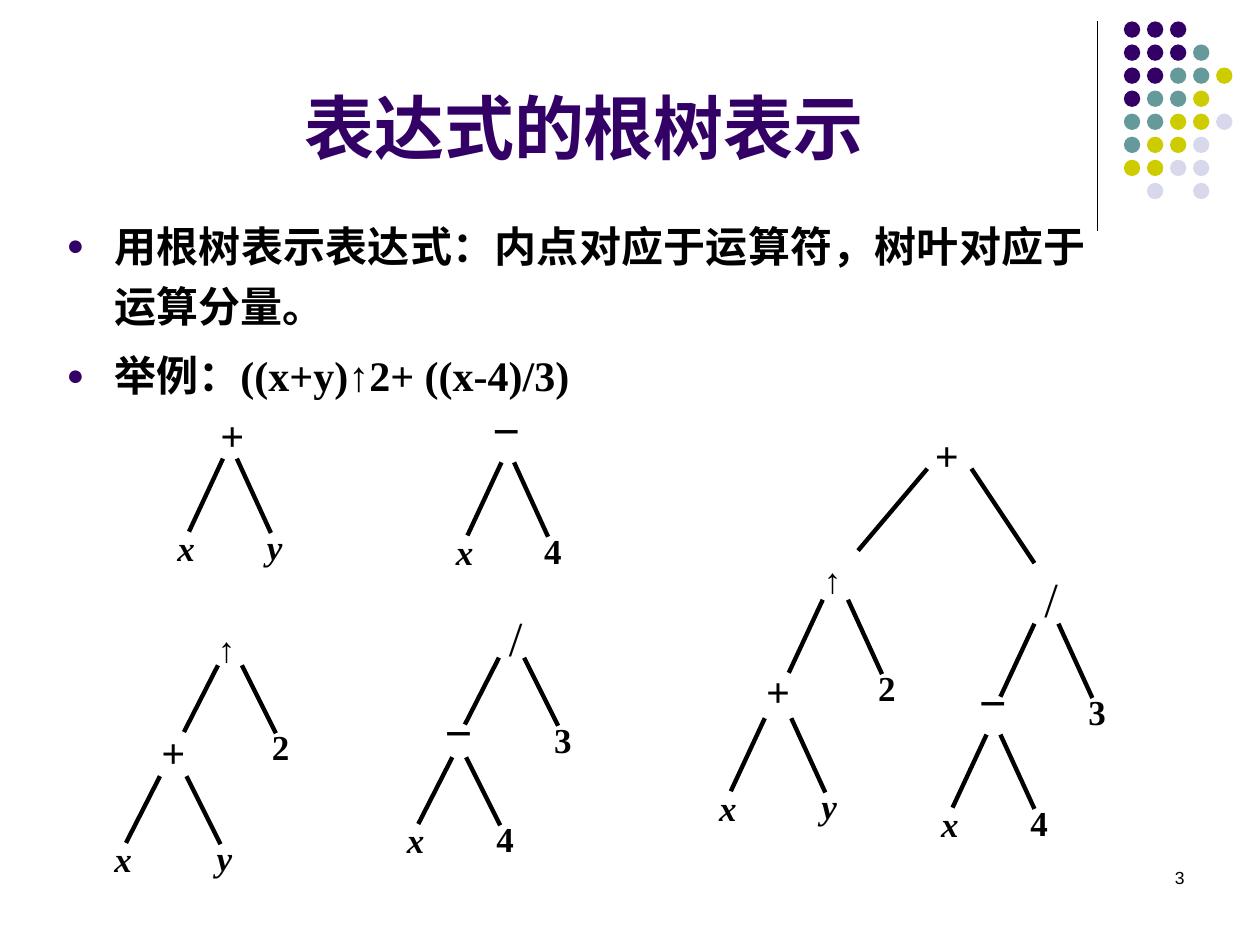
import pptx
import pptx.util
import pptx.dml.color
import pptx.enum.shapes
import pptx.enum.text
import pptx.oxml.ns
import lxml.etree

TITLE = "表达式的根树表示"
POINTS = [
    "用根树表示表达式：内点对应于运算符，树叶对应于运算分量。",
    "举例：((x+y)↑2+ ((x-4)/3)",
]
PAGE = "3"

# One letter a dot, a space for no dot.
DOTS = ["ppp", "pppt", "pptty", "ptty", "ttyyl", "tyyl", "yyll", " l l"]

# Each tree is a list of forks: operator, its left and top, start of the
# left leg, gap to the right leg, leg style, left leaf, right leaf.
# An empty leaf means that another fork stands there.
TREES = [
    [("+", 1.61, 3.2, 1.77, 3.64, 0.11, "tall", "x", "y")],
    [("↑", 1.63, 4.93, 1.73, 5.28, 0.19, "short", "", "2"),
     ("+", 1.14, 5.72, 1.27, 6.16, 0.21, "short", "x", "y")],
    [("−", 3.81, 3.12, 3.98, 3.67, 0.1, "tall", "x", "4")],
    [("/", 3.94, 4.77, 3.96, 5.22, 0.2, "short", "", "3"),
     ("−", 3.43, 5.52, 3.59, 6.01, 0.11, "short", "x", "4")],
    [("+", 7.28, 3.36, 7.36, 3.72, 0.35, "wide", "", ""),
     ("↑", 6.44, 4.38, 6.53, 4.76, 0.2, "tall", "", "2"),
     ("+", 5.94, 5.23, 6.07, 5.7, 0.21, "tall", "x", "y"),
     ("/", 8.19, 4.46, 8.21, 4.95, 0.19, "tall", "", "3"),
     ("−", 7.67, 5.28, 7.83, 5.83, 0.11, "tall", "x", "4")],
]
# Run and drop of the left leg, then of the right leg.
LEGS = {
    "tall": ((-0.27, 0.58), (0.27, 0.59)),
    "short": ((-0.27, 0.53), (0.27, 0.54)),
    "wide": ((-0.55, 0.65), (0.5, 0.75)),
}
SHIFT = ((-0.19, -0.09), (-0.13, -0.11))  # leg end to leaf box
BOX = {"+": (0.47, 0.32), "−": (0.4, 0.39), "x": (0.31, 0.32)}
WIDE = (0.55, 0.4)

THEME = {
    "serif": "Times New Roman", "sans": "Arial",
    "ink": "000000", "p": "330066", "t": "669999", "y": "CCCC00", "l": "D8D8EC",
    "title": 40, "body": 24, "node": 20, "page": 10,
    "signs": {"+": 24, "−": 28, "/": 28},
    "leg": 2.5, "rule": 0.75,
}

Inch = pptx.util.Inches
Align = pptx.enum.text.PP_ALIGN


def color(key):
    """Give the theme colour of a key."""
    return pptx.dml.color.RGBColor.from_string(THEME[key])


def write(shapes, lines, box, size, align, bold=True, italic=False,
          face="serif", ink="ink"):
    """Add a text box with one paragraph a line."""
    frame = shapes.add_textbox(*map(Inch, box)).text_frame
    frame.word_wrap = True
    frame.text = "\n".join(lines)
    for para in frame.paragraphs:
        para.alignment = align
        font = para.font
        font.name, font.size = THEME[face], pptx.util.Pt(size)
        font.bold, font.italic = bold, italic
        font.color.rgb = color(ink)
    return frame


def bullet(para):
    """Give a paragraph a hanging dot and its spacing."""
    para.line_spacing = 1.2
    para.space_before = pptx.util.Pt(4.8)
    props = para._p.get_or_add_pPr()
    props.set("marL", str(Inch(0.38)))
    props.set("indent", str(Inch(-0.38)))
    name = pptx.oxml.ns.qn
    tint = lxml.etree.Element(name("a:buClr"))
    lxml.etree.SubElement(tint, name("a:srgbClr"), val=THEME["p"])
    marks = [
        tint,
        lxml.etree.Element(name("a:buSzPct"), val="70000"),
        lxml.etree.Element(name("a:buFont"), typeface=THEME["sans"]),
        lxml.etree.Element(name("a:buChar"), char="●"),
    ]
    spot = 2  # after line spacing and space before
    for mark in marks:
        props.insert(spot, mark)
        spot += 1


def rule(shapes, start, end, width):
    """Draw a plain straight line."""
    line = shapes.add_connector(
        pptx.enum.shapes.MSO_CONNECTOR.STRAIGHT, *map(Inch, (*start, *end)))
    line.line.color.rgb = color("ink")
    line.line.width = pptx.util.Pt(width)
    lxml.etree.SubElement(line._element.spPr, pptx.oxml.ns.qn("a:effectLst"))


def node(shapes, text, left, top):
    """Write one operator or leaf."""
    size = THEME["signs"].get(text, THEME["node"])
    align = Align.CENTER if text in "+−" else Align.JUSTIFY
    write(shapes, [text], (left, top, *BOX.get(text, WIDE)), size, align,
          bold=text != "/", italic=text in "xy")


def fork(shapes, sign, left, top, x, y, gap, style, *leaves):
    """Draw an operator, its two legs and its leaves."""
    node(shapes, sign, left, top)
    parts = zip((x, x + gap), LEGS[style], SHIFT, leaves)
    for start, (run, drop), (dx, dy), leaf in parts:
        end = (start + run, y + drop)
        rule(shapes, (start, y), end, THEME["leg"])
        if leaf:
            node(shapes, leaf, end[0] + dx, end[1] + dy)


def dots(shapes):
    """Draw the dot grid in the corner."""
    for row, keys in enumerate(DOTS):
        for col, key in enumerate(keys):
            if key == " ":
                continue
            spot = (8.92 + col * 0.183, 0.17 + row * 0.183, 0.13, 0.13)
            dot = shapes.add_shape(
                pptx.enum.shapes.MSO_SHAPE.OVAL, *map(Inch, spot))
            dot.shadow.inherit = False
            dot.fill.solid()
            dot.fill.fore_color.rgb = color(key)
            dot.line.fill.background()


def build():
    """Build the slide and save it."""
    deck = pptx.Presentation()
    deck.slide_width, deck.slide_height = Inch(10), Inch(7.5)
    shapes = deck.slides.add_slide(deck.slide_layouts[6]).shapes
    rule(shapes, (8.71, 0.17), (8.71, 1.83), THEME["rule"])
    dots(shapes.add_group_shape().shapes)
    head = write(shapes, [TITLE], (0.51, 0.44, 8.25, 0.95), THEME["title"],
                 Align.CENTER, ink="p")
    head.vertical_anchor = pptx.enum.text.MSO_ANCHOR.BOTTOM
    body = write(shapes, POINTS, (0.43, 1.62, 8.29, 1.65), THEME["body"],
                 Align.JUSTIFY)
    for para in body.paragraphs:
        bullet(para)
    for tree in TREES:
        group = shapes.add_group_shape().shapes
        for item in tree:
            fork(group, *item)
    write(shapes, [PAGE], (7.17, 6.83, 2.33, 0.5), THEME["page"],
          Align.RIGHT, bold=False, face="sans")
    deck.save("out.pptx")


build()
